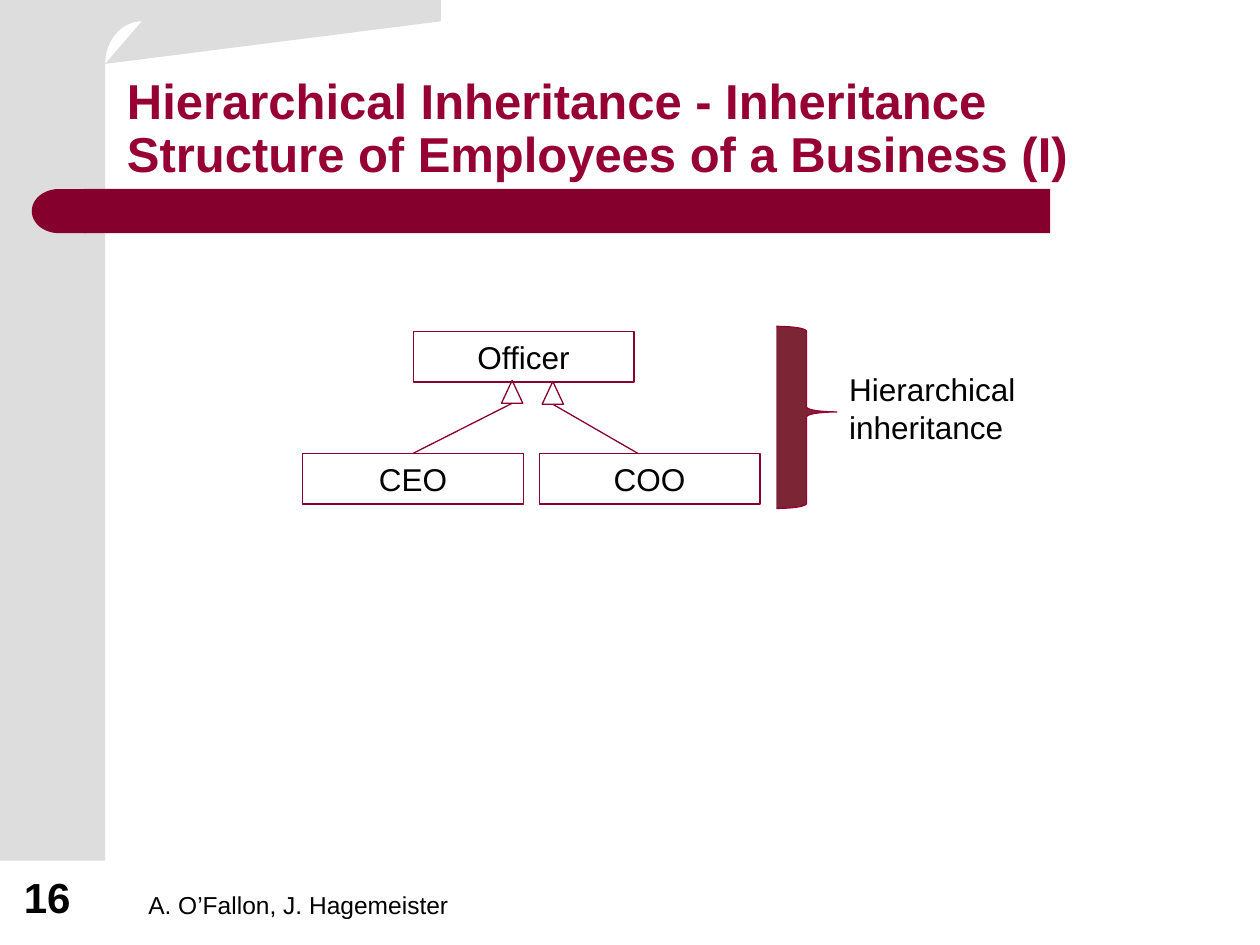
"""Build a slide showing hierarchical inheritance among the officers of a business."""
from math import cos, pi, sin

from lxml import etree
from pptx import Presentation
from pptx.dml.color import RGBColor
from pptx.enum.shapes import MSO_CONNECTOR, MSO_SHAPE
from pptx.enum.text import MSO_ANCHOR, PP_ALIGN
from pptx.oxml.ns import qn
from pptx.util import Cm, Pt

RECTANGLE, TRIANGLE = MSO_SHAPE.RECTANGLE, MSO_SHAPE.ISOSCELES_TRIANGLE
DELAY, BRACE = MSO_SHAPE.FLOWCHART_DELAY, MSO_SHAPE.RIGHT_BRACE
STRAIGHT = MSO_CONNECTOR.STRAIGHT
LEFT, CENTER = PP_ALIGN.LEFT, PP_ALIGN.CENTER
MIDDLE, BOTTOM, TOP = MSO_ANCHOR.MIDDLE, MSO_ANCHOR.BOTTOM, MSO_ANCHOR.TOP

COLORS = {"band": "DDDDDD", "bar": "86002D", "title": "960032",
          "line": "8A002E", "brace": "7B2535", "text": "000000"}
FONT = "Arial"

TITLE = "Hierarchical Inheritance - Inheritance Structure of Employees of a Business (I)"
LABELS = [
    (TITLE, (2.31, 1.04, 21.62, 2.77), 28, True, "title", BOTTOM, 0.9),
    ("A. O’Fallon, J. Hagemeister", (2.74, 17.35, 9.53, 1.32), 14, False, "text", BOTTOM, 1),
    ("16", (0.23, 17.35, 1.63, 1.35), 24, True, "text", BOTTOM, 1),
    ("Hierarchical inheritance", (16.87, 7.34, 4.06, 1.78), 18, False, "text", TOP, 1),
]
CLASS_SIZE = (4.45, 1.02)
CLASSES = {"Officer": (8.33, 6.68), "COO": (10.87, 9.14), "CEO": (6.1, 9.14)}
ARROW_SIZE = (0.43, 0.46)
ARROWS = [("CEO", (10.11, 7.67), None), ("COO", (10.93, 7.69), (12.86, 9.14))]

BAND_WIDTH, BAND_HEIGHT = 2.12, 17.35
STRIP_RIGHT, STRIP_HEIGHT = 8.89, 0.43
CORNER_X, CORNER_Y, CORNER_STEPS = 0.74, 0.86, 16


def rgb(name):
    return RGBColor.from_string(COLORS[name])


def add_block(slide, kind, box, fill=None, line=None):
    block = slide.shapes.add_shape(kind, *map(Cm, box))
    style(block, fill, line)
    return block


def style(block, fill, line):
    block.shadow.inherit = False
    if fill:
        block.fill.solid()
        block.fill.fore_color.rgb = rgb(fill)
    else:
        block.fill.background()
    if line:
        block.line.color.rgb = rgb(line)
        block.line.width = Pt(0.75)
    else:
        block.line.fill.background()


def write(holder, text, size, bold, color, align, anchor, spacing=1):
    frame = holder.text_frame
    frame.word_wrap = True
    frame.vertical_anchor = anchor
    paragraph = frame.paragraphs[0]
    paragraph.text = text
    paragraph.alignment = align
    paragraph.line_spacing = spacing
    font = paragraph.font
    font.name, font.size, font.bold = FONT, Pt(size), bold
    font.color.rgb = rgb(color)


def add_frame(slide):
    add_block(slide, RECTANGLE, (0, 0, BAND_WIDTH, BAND_HEIGHT), "band")
    angles = [pi / 2 * step / CORNER_STEPS for step in range(CORNER_STEPS + 1)]
    corner = [(BAND_WIDTH + CORNER_X * (1 - sin(a)), STRIP_HEIGHT + CORNER_Y * (1 - cos(a)))
              for a in angles]
    corner_bottom = STRIP_HEIGHT + CORNER_Y
    outline = [(STRIP_RIGHT, 0), (STRIP_RIGHT, STRIP_HEIGHT), *reversed(corner),
               (BAND_WIDTH, corner_bottom), (1.27, corner_bottom), (1.27, 0)]
    builder = slide.shapes.build_freeform(Cm(1.27), Cm(0))
    builder.add_line_segments([(Cm(x), Cm(y)) for x, y in outline], close=True)
    style(builder.convert_to_shape(), "band", None)
    add_block(slide, RECTANGLE, (1.7, 3.81, 19.47, 0.89), "bar")
    add_block(slide, DELAY, (0.64, 3.81, 1.09, 0.89), "bar").rotation = 180


def add_hierarchy(slide):
    boxes = {}
    for name, corner in CLASSES.items():
        boxes[name] = add_block(slide, RECTANGLE, corner + CLASS_SIZE, line="line")
        write(boxes[name], name, 18, False, "text", CENTER, MIDDLE)
    for child, (x, y), end in ARROWS:
        add_block(slide, TRIANGLE, (x, y) + ARROW_SIZE, line="line")
        start = (x + ARROW_SIZE[0] / 2, y + ARROW_SIZE[1])
        link = slide.shapes.add_connector(STRAIGHT, *map(Cm, start + (end or start)))
        if end is None:
            link.end_connect(boxes[child], 0)
        link.line.color.rgb = rgb("line")
        link.line.width = Pt(0.75)
        etree.SubElement(link._element.spPr, qn("a:effectLst"))
    brace = add_block(slide, BRACE, (15.65, 6.58, 1.22, 3.67), "brace", "title")
    brace.adjustments[0], brace.adjustments[1] = 0.08, 0.47


def main():
    deck = Presentation()
    deck.slide_width, deck.slide_height = Cm(25.4), Cm(19.05)
    slide = deck.slides.add_slide(deck.slide_layouts[6])
    add_frame(slide)
    add_hierarchy(slide)
    for text, box, size, bold, color, anchor, spacing in LABELS:
        label = slide.shapes.add_textbox(*map(Cm, box))
        write(label, text, size, bold, color, LEFT, anchor, spacing)
    deck.save("out.pptx")


if __name__ == "__main__":
    main()
